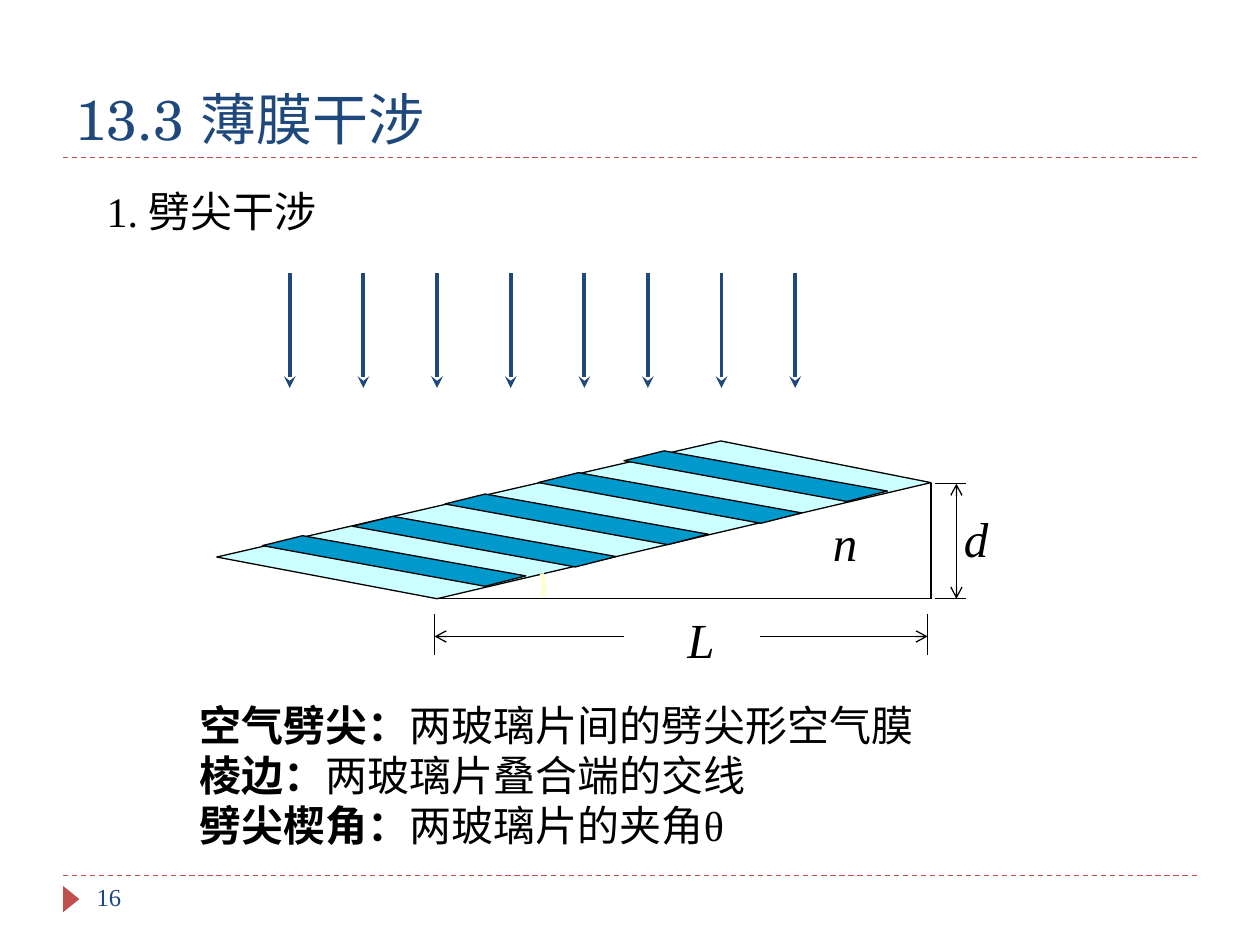
from dataclasses import dataclass

import pptx
import pptx.dml.color
import pptx.enum.dml
import pptx.enum.shapes
import pptx.enum.text
import pptx.oxml
import pptx.oxml.ns
import pptx.util
from pptx.util import Cm


def rgb(value):
    return pptx.dml.color.RGBColor.from_string(value)


@dataclass(frozen=True)
class Theme:
    navy = rgb("1F497D")
    red = rgb("C0504D")
    black = rgb("000000")
    glass = rgb("CCFFFF")
    fringe = rgb("0099CC")
    cream = rgb("FFFFCC")
    heading_font = "TeX Gyre Schola"
    body_font = "Times New Roman"
    title_size = 32
    symbol_size = 28
    body_size = 24
    number_size = 14
    thin = 0.75
    thick = 2.25


THEME = Theme()

DEFINITIONS = [
    ("空气劈尖：", "两玻璃片间的劈尖形空气膜"),
    ("棱边：", "两玻璃片叠合端的交线"),
    ("劈尖楔角：", "两玻璃片的夹角θ"),
]


def format_paragraph(paragraph, size, color, font=THEME.body_font, italic=False):
    paragraph.font.name = font
    paragraph.font.size = pptx.util.Pt(size)
    paragraph.font.color.rgb = color
    paragraph.font.italic = italic


def place(shape, left, top, width, height):
    shape.left, shape.top = Cm(left), Cm(top)
    shape.width, shape.height = Cm(width), Cm(height)


def add_title(slide, text):
    title = slide.shapes.title
    place(title, 1.27, 0.64, 22.86, 2.54)
    frame = title.text_frame
    frame.text = text
    frame.vertical_anchor = pptx.enum.text.MSO_ANCHOR.BOTTOM
    paragraph = frame.paragraphs[0]
    paragraph.alignment = pptx.enum.text.PP_ALIGN.LEFT
    format_paragraph(paragraph, THEME.title_size, THEME.navy, THEME.heading_font)


def add_text(slide, box, text, size, color=THEME.black, italic=False):
    frame = slide.shapes.add_textbox(*map(Cm, box)).text_frame
    frame.word_wrap = True
    frame.text = text
    format_paragraph(frame.paragraphs[0], size, color, italic=italic)


def add_definitions(slide, box):
    """Each paragraph is a bold term followed by its meaning."""
    frame = slide.shapes.add_textbox(*map(Cm, box)).text_frame
    frame.word_wrap = True
    for index, (term, meaning) in enumerate(DEFINITIONS):
        paragraph = frame.add_paragraph() if index else frame.paragraphs[0]
        format_paragraph(paragraph, THEME.body_size, THEME.black)
        for text, bold in ((term, True), (meaning, False)):
            run = paragraph.add_run()
            run.text = text
            run.font.bold = bold


def add_line(slide, start, end, color=THEME.black, width=THEME.thin,
             head=None, tail=None, dashed=False):
    connector = slide.shapes.add_connector(
        pptx.enum.shapes.MSO_CONNECTOR.STRAIGHT, *map(Cm, (*start, *end)))
    line = connector.line
    line.color.rgb = color
    line.width = pptx.util.Pt(width)
    if dashed:
        line.dash_style = pptx.enum.dml.MSO_LINE.DASH
    properties = connector._element.spPr
    for tag, kind in (("a:headEnd", head), ("a:tailEnd", tail)):
        if kind:
            arrowhead = pptx.oxml.ns.qn(tag)
            line_element = properties.find(pptx.oxml.ns.qn("a:ln"))
            line_element.append(line_element.makeelement(arrowhead, {"type": kind}))
    properties.append(properties.makeelement(pptx.oxml.ns.qn("a:effectLst"), {}))


def add_outline(slide, points, fill=None, color=THEME.black, width=THEME.thin):
    """Draw a closed, filled outline, or an open one where there is no fill."""
    start, *others = [(Cm(x), Cm(y)) for x, y in points]
    builder = slide.shapes.build_freeform(*start)
    builder.add_line_segments(others, close=fill is not None)
    shape = builder.convert_to_shape()
    shape.shadow.inherit = False
    if fill is None:
        shape.fill.background()
    else:
        shape.fill.solid()
        shape.fill.fore_color.rgb = fill
    shape.line.color.rgb = color
    shape.line.width = pptx.util.Pt(width)


def add_frame(slide, number):
    for y in (17.65, 3.17):
        add_line(slide, (1.27, y), (24.13, y), THEME.red, dashed=True)
    marker = slide.shapes.add_shape(
        pptx.enum.shapes.MSO_SHAPE.ISOSCELES_TRIANGLE,
        Cm(1.17), Cm(17.96), Cm(0.53), Cm(0.33))
    marker.rotation = 90
    marker.shadow.inherit = False
    marker.fill.solid()
    marker.fill.fore_color.rgb = THEME.red
    marker.line.fill.background()
    add_text(slide, (1.7, 17.65, 5.5, 1.02), number, THEME.number_size, THEME.navy)


def add_wedge(slide):
    edge, corner, top = (8.81, 12.07), (18.77, 12.07), (18.77, 9.73)
    add_line(slide, edge, corner)
    add_outline(slide, [(14.53, 8.89), (4.37, 11.23), edge, top], THEME.glass)
    add_line(slide, corner, top)
    angle_arc = [(10.92, 11.56), (10.96, 11.72), (10.97, 11.86), (10.95, 12.04)]
    add_outline(slide, angle_arc, color=THEME.cream, width=THEME.thick)

    stripe = [(0, 0), (-0.81, 0.2), (3.68, 1.02), (4.5, 0.81)]
    for x, y in [(6.1, 10.8), (7.92, 10.41), (9.78, 9.96), (11.66, 9.53), (13.39, 9.09)]:
        add_outline(slide, [(x + dx, y + dy) for dx, dy in stripe], THEME.fringe)


def add_dimensions(slide):
    left, right, length_y = 8.76, 18.7, 12.83
    for x in (left, right):
        add_line(slide, (x, 12.37), (x, 13.21))
    add_line(slide, (15.32, length_y), (right, length_y), tail="arrow")
    add_line(slide, (12.57, length_y), (left, length_y), tail="arrow")

    top, bottom, height_x = 9.75, 12.07, 19.28
    for y in (top, bottom):
        add_line(slide, (18.85, y), (19.48, y))
    add_line(slide, (height_x, top), (height_x, bottom), head="arrow", tail="arrow")

    for symbol, x, y in (("d", 19.18, 10.13), ("n", 16.54, 10.21), ("L", 13.61, 12.17)):
        add_text(slide, (x, y, 1.07, 1.45), symbol, THEME.symbol_size, italic=True)


def add_light_rays(slide):
    spacing = 1.485
    for first, count in ((5.84, 5), (13.06, 3)):
        for index in range(count):
            x = first + index * spacing
            add_line(slide, (x, 5.51), (x, 7.82), THEME.navy, THEME.thick, tail="stealth")


def main():
    presentation = pptx.Presentation()
    presentation.slide_width, presentation.slide_height = Cm(25.4), Cm(19.05)
    slide = presentation.slides.add_slide(presentation.slide_layouts[5])
    add_frame(slide, "16")
    add_title(slide, "13.3 薄膜干涉")
    add_text(slide, (1.9, 3.61, 8.4, 1.27), "1. 劈尖干涉", THEME.body_size)
    add_wedge(slide)
    add_dimensions(slide)
    add_light_rays(slide)
    add_definitions(slide, (3.78, 13.97, 19.43, 3.3))
    presentation.save("out.pptx")


if __name__ == "__main__":
    main()
